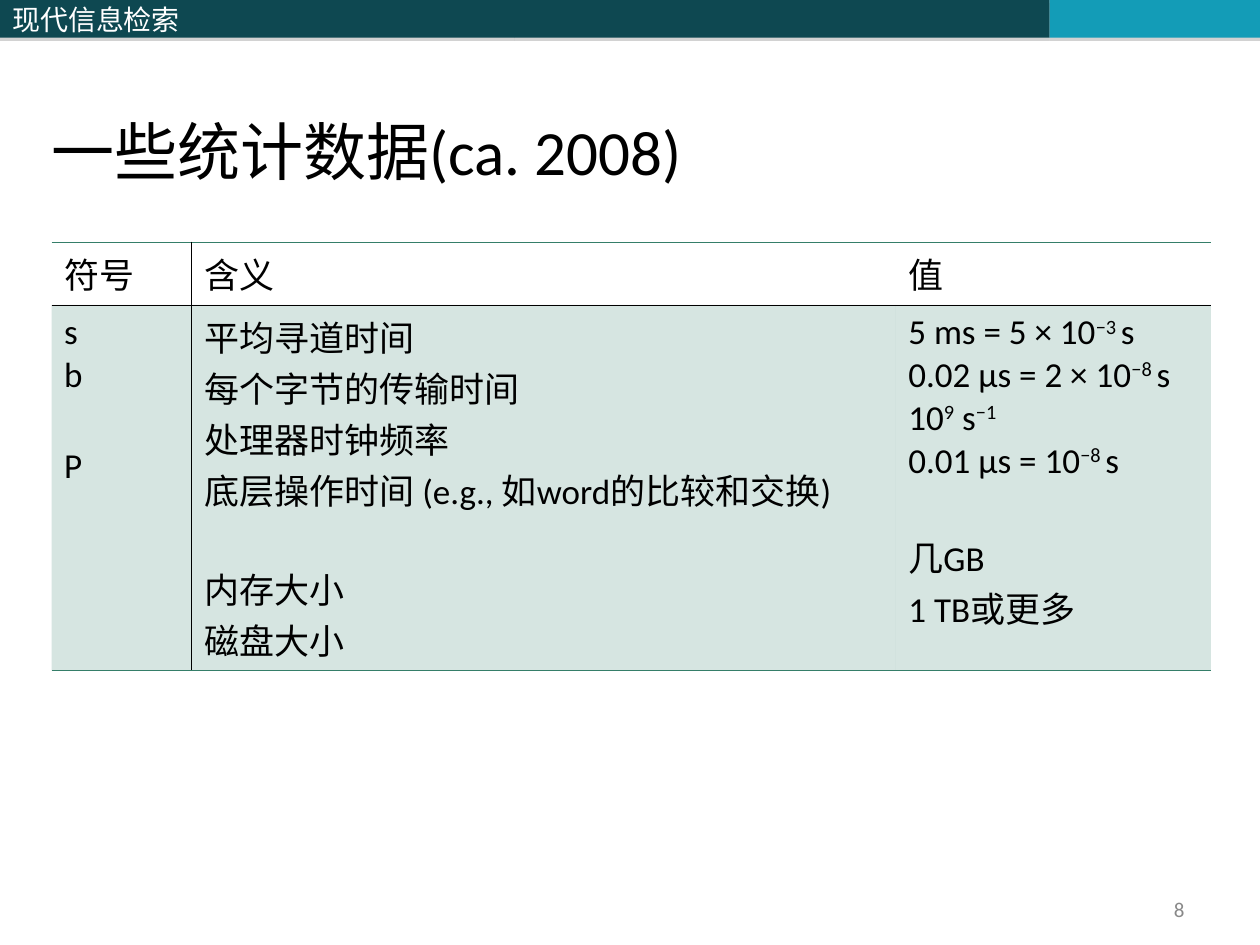
from typing import NamedTuple

from lxml import etree
from pptx import Presentation
from pptx.dml.color import RGBColor
from pptx.enum.shapes import MSO_SHAPE
from pptx.enum.text import MSO_ANCHOR, PP_ALIGN
from pptx.oxml.ns import qn
from pptx.util import Inches, Pt

RECT = MSO_SHAPE.RECTANGLE
MIDDLE, BOTTOM = MSO_ANCHOR.MIDDLE, MSO_ANCHOR.BOTTOM
LEFT, RIGHT = PP_ALIGN.LEFT, PP_ALIGN.RIGHT
LATIN, CJK = "Calibri", "Noto Sans CJK SC"
NO_STYLE = "{2D5ABB26-0587-4C30-8999-92F81FD0307C}"
COLORS = {
    "dark": "0E4851", "cyan": "139CB7", "shade": "808080", "white": "FFFFFF",
    "black": "000000", "grey": "898989", "green": "357E69",
}
GAP = 27.6  # points between groups of lines in the body row


class Run(NamedTuple):
    text: str
    raised: bool = False


class Line(NamedTuple):
    runs: list[Run]
    before: float = 0


class Style(NamedTuple):
    size: float
    color: str
    font: str = LATIN
    align: PP_ALIGN = LEFT


class Bar(NamedTuple):
    left: float
    width: float
    color: str


class Box(NamedTuple):
    left: float
    top: float
    width: float
    height: float
    anchor: MSO_ANCHOR
    text: str
    style: Style


def plain(text: str, before: float = 0) -> Line:
    return Line([Run(text)], before)


def power(lead: str, exp: str, tail: str = "s") -> Line:
    return Line([Run(lead), Run(exp, True), Run(tail)])


BARS = [Bar(0, 4.08, "dark"), Bar(4.08, 4.25, "dark"), Bar(8.33, 1.67, "cyan")]
COURSE = Style(16, "white", CJK)
BOXES = [
    Box(0.31, 0.01, 9.45, 1.53, BOTTOM, "一些统计数据(ca. 2008)", Style(36, "black")),
    Box(7.17, 7.08, 2.33, 0.27, MIDDLE, "8", Style(12, "grey", align=RIGHT)),
]
CELL = Style(20, "black")
COLS = [1.11, 5.59, 2.5]
ROWS = [0.5, 2.9]
HEAD = [[plain("符号")], [plain("含义")], [plain("值")]]
BODY = [
    [plain("s"), plain("b"), plain("P", GAP)],
    [
        plain("平均寻道时间"),
        plain("每个字节的传输时间"),
        plain("处理器时钟频率"),
        plain("底层操作时间 (e.g., 如word的比较和交换)"),
        plain("内存大小", GAP),
        plain("磁盘大小"),
    ],
    [
        power("5 ms = 5 × 10", "−3 "),
        power("0.02 μs = 2 × 10", "−8 "),
        Line([Run("10"), Run("9", True), Run(" s"), Run("−1", True)]),
        power("0.01 μs = 10", "−8 "),
        plain("几GB", GAP),
        plain("1 TB或更多"),
    ],
]


def rgb(name: str) -> RGBColor:
    return RGBColor.from_string(COLORS[name])


def tint(parent, name: str, alpha: int = 100) -> None:
    """Add a colour, with opacity in percent, to an XML element."""
    color = etree.SubElement(parent, qn("a:srgbClr"), val=COLORS[name])
    if alpha < 100:
        etree.SubElement(color, qn("a:alpha"), val=str(alpha * 1000))


def write(frame, lines: list[Line], style: Style) -> None:
    for i, line in enumerate(lines):
        para = frame.add_paragraph() if i else frame.paragraphs[0]
        para.alignment = style.align
        if line.before:
            para.space_before = Pt(line.before)
        for part in line.runs:
            run = para.add_run()
            run.text = part.text
            font = run.font
            font.size, font.name = Pt(style.size), style.font
            font.color.rgb = rgb(style.color)
            props = run._r.get_or_add_rPr()
            etree.SubElement(props, qn("a:ea"), typeface=CJK)
            if part.raised:
                props.set("baseline", "30000")


def draw_bar(slide, bar: Bar):
    shape = slide.shapes.add_shape(
        RECT, Inches(bar.left), 0, Inches(bar.width), Inches(0.3))
    shape.fill.solid()
    shape.fill.fore_color.rgb = rgb(bar.color)
    shape.line.fill.background()
    shape.shadow.inherit = False
    effects = shape._element.spPr.find(qn("a:effectLst"))
    shadow = etree.SubElement(
        effects, qn("a:outerShdw"), dist=str(Pt(1.8)), dir="5400000")
    tint(shadow, "shade", 35)
    return shape


def draw_box(slide, box: Box) -> None:
    shape = slide.shapes.add_textbox(
        Inches(box.left), Inches(box.top), Inches(box.width), Inches(box.height))
    frame = shape.text_frame
    frame.word_wrap = True
    frame.vertical_anchor = box.anchor
    write(frame, [plain(box.text)], box.style)


def add_edges(cell, edges: dict[str, tuple[str, float]]) -> None:
    """Put borders ahead of the fill, in the order L, R, T, B; others are off."""
    props = cell._tc.get_or_add_tcPr()
    for i, side in enumerate("LRTB"):
        line = etree.Element(qn(f"a:ln{side}"))
        if side in edges:
            color, width = edges[side]
            line.set("w", str(Pt(width)))
            tint(etree.SubElement(line, qn("a:solidFill")), color)
        else:
            etree.SubElement(line, qn("a:noFill"))
        props.insert(i, line)


def draw_table(slide) -> None:
    frame = slide.shapes.add_table(
        len(ROWS), len(COLS), Inches(0.41), Inches(1.92),
        Inches(sum(COLS)), Inches(sum(ROWS)))
    table = frame.table
    table.first_row = table.horz_banding = False
    table._tbl.tblPr.find(qn("a:tableStyleId")).text = NO_STYLE
    for col, width in zip(table.columns, COLS):
        col.width = Inches(width)
    thin, rule = ("black", 0.23), ("green", 0.45)
    for r, (height, cells) in enumerate(zip(ROWS, [HEAD, BODY])):
        table.rows[r].height = Inches(height)
        for c, lines in enumerate(cells):
            cell = table.cell(r, c)
            write(cell.text_frame, lines, CELL)
            if r:
                cell.fill.solid()
                cell.fill.fore_color.rgb = rgb("green")
                color = cell._tc.tcPr.find(".//" + qn("a:srgbClr"))
                etree.SubElement(color, qn("a:alpha"), val="20000")
            else:
                cell.fill.background()
            edges = {"T": thin, "B": rule} if r else {"T": rule, "B": thin}
            if c < 2:
                edges["L" if c else "R"] = thin
            add_edges(cell, edges)


def main() -> None:
    deck = Presentation()
    deck.slide_width, deck.slide_height = Inches(10), Inches(7.5)
    slide = deck.slides.add_slide(deck.slide_layouts[6])
    first, *_ = [draw_bar(slide, bar) for bar in BARS]
    first.text_frame.vertical_anchor = MIDDLE
    write(first.text_frame, [plain("现代信息检索")], COURSE)
    for box in BOXES:
        draw_box(slide, box)
    draw_table(slide)
    deck.save("out.pptx")


if __name__ == "__main__":
    main()
